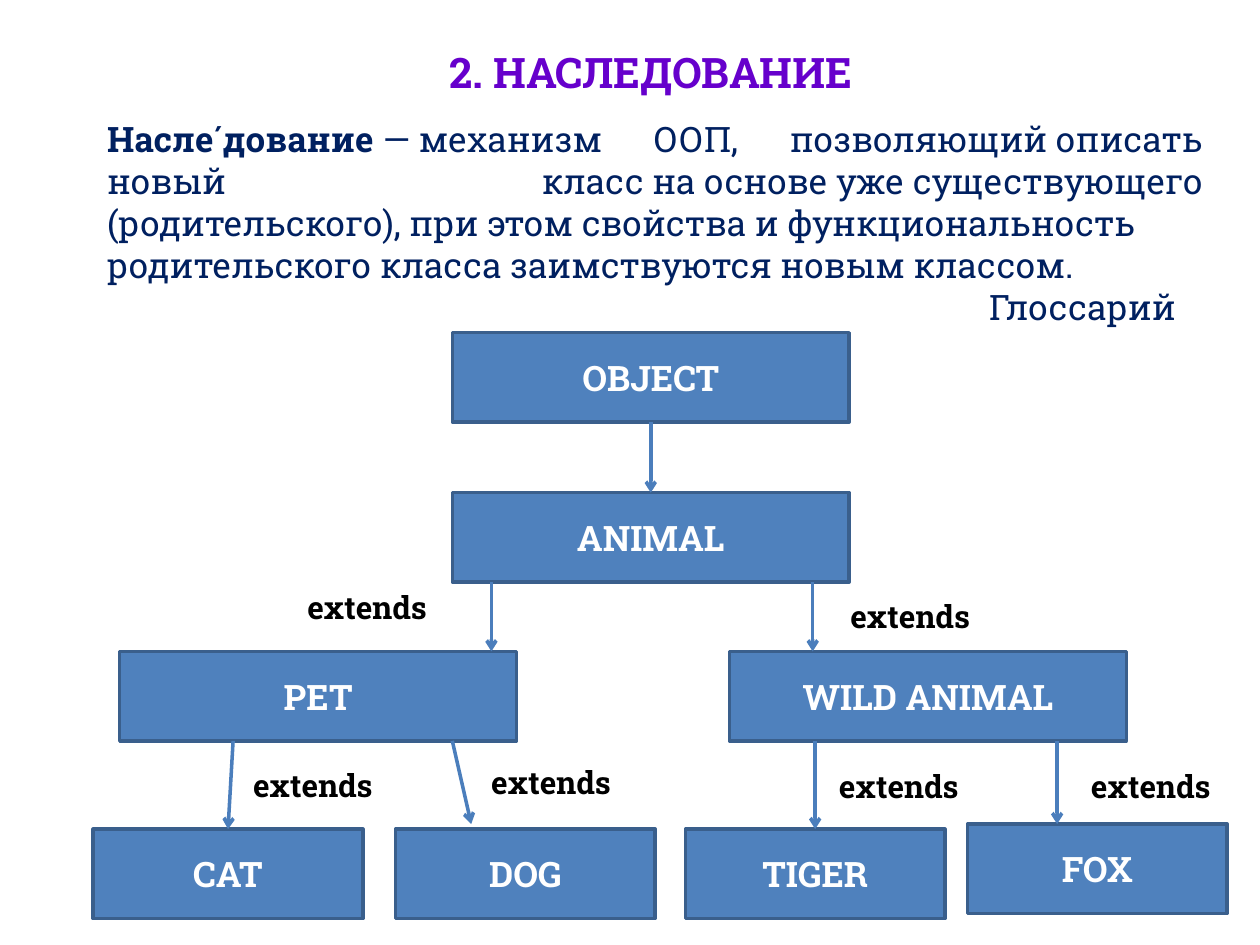
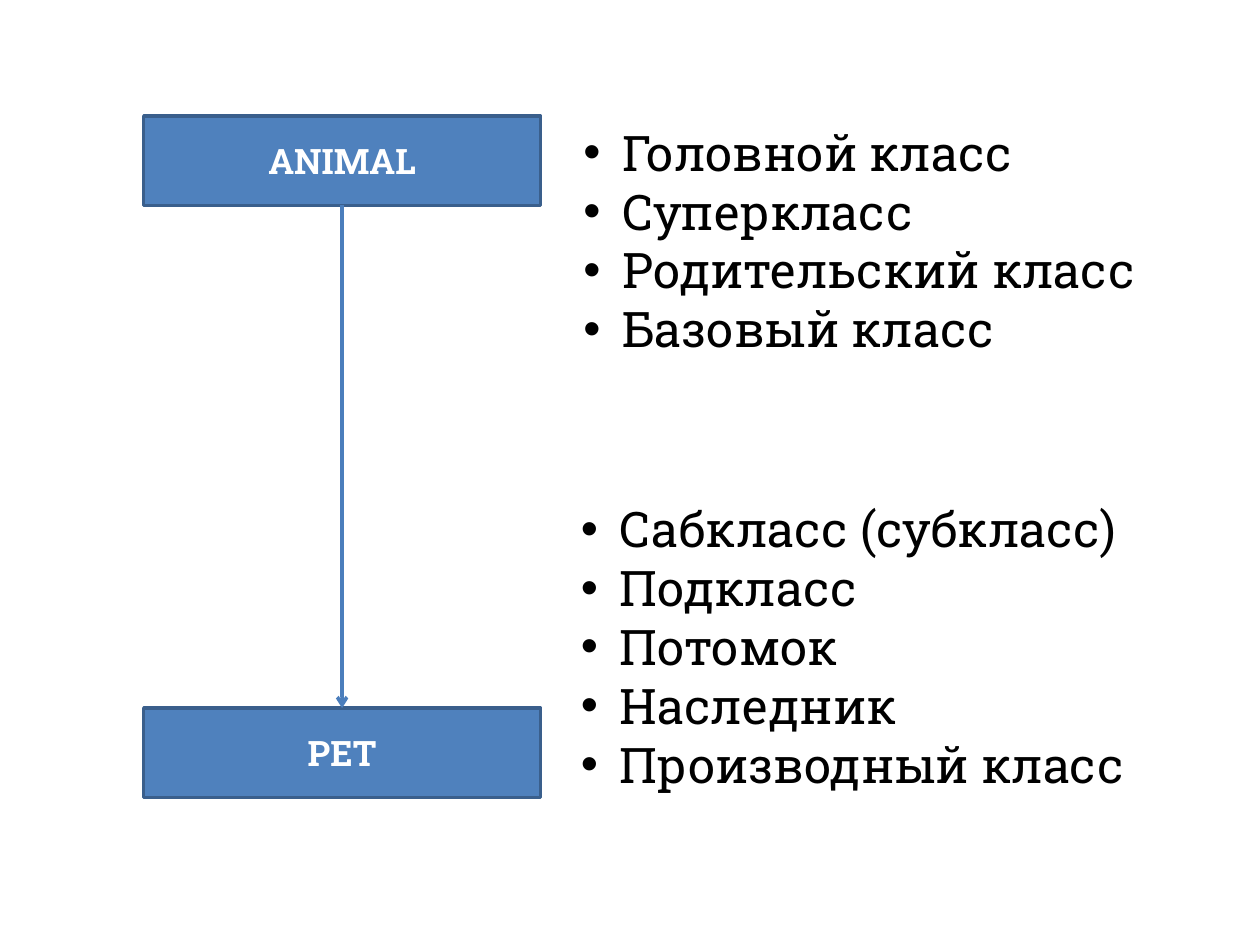
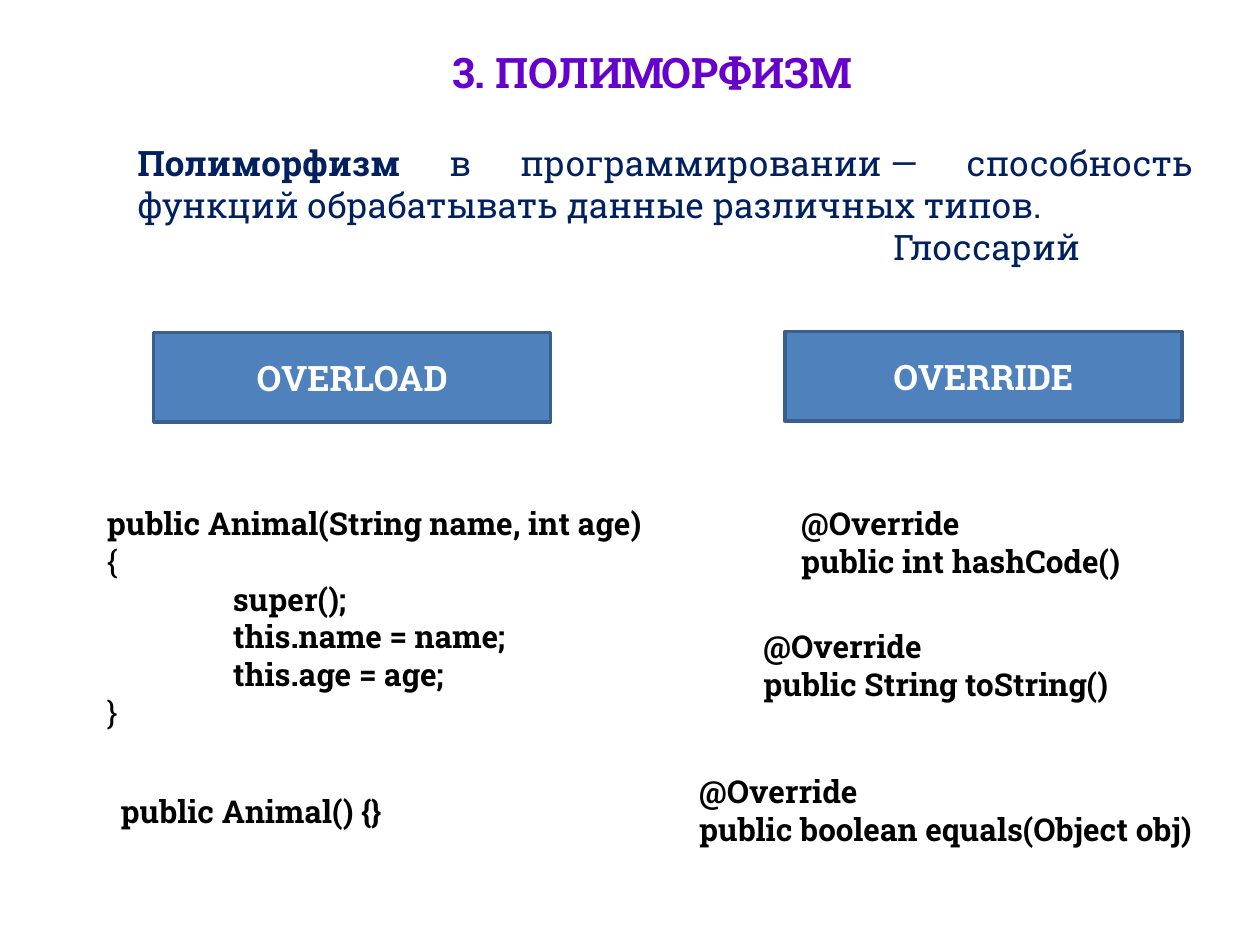
from lxml.etree import SubElement
from pptx import Presentation
from pptx.dml.color import RGBColor
from pptx.enum.shapes import MSO_CONNECTOR, MSO_SHAPE
from pptx.enum.text import MSO_ANCHOR, MSO_AUTO_SIZE, PP_ALIGN
from pptx.oxml.ns import qn
from pptx.util import Inches, Pt

FONT = "Roboto Slab"
BOX_FILL, BOX_EDGE, ARROW_COLOR = "4F81BD", "3A5F8C", "4B7EBC"
TITLE = {"color": "6600CC", "size": Pt(24), "bold": True}
DEFINITION = {"color": "002060", "size": Pt(20), "bold": False}
LABEL = {"color": "FFFFFF", "size": Pt(20), "bold": True}
CODE = {"color": "000000", "size": Pt(18), "bold": True}
TERMS = {"color": "000000", "size": Pt(28), "bold": False}
BOX_WIDTH, BOX_HEIGHT = 3.15, 0.71
SMALL_WIDTH = 2.06
TITLE_AREA = (0.95, 0.32, 8.43, 0.5)
SOURCE_NAME = "Глоссарий"


def color(hex_value):
    return RGBColor.from_string(hex_value)


def hard_spaces(text):
    return text.replace("~", chr(160))


def place(shape, area):
    for name, value in zip(("left", "top", "width", "height"), area):
        setattr(shape, name, Inches(value))


def write_lines(shape, lines, look, align=PP_ALIGN.LEFT, wrap=True):
    frame = shape.text_frame
    frame.word_wrap = wrap
    for number, line in enumerate(lines):
        para = frame.add_paragraph() if number else frame.paragraphs[0]
        para.alignment = align
        para.space_before = Pt(0)
        for text in line if isinstance(line, tuple) else (line,):
            span = para.add_run()
            span.text = text
            span.font.name = FONT
            for name, value in look.items():
                if name == "color":
                    span.font.color.rgb = color(value)
                else:
                    setattr(span.font, name, value)
    return frame.paragraphs


def indent(para, left, first=0):
    properties = para._p.get_or_add_pPr()
    properties.set("marL", str(Inches(left)))
    properties.set("indent", str(Inches(first)))
    return properties


def fill_placeholder(holder, area, lines, look, align):
    place(holder, area)
    holder.text_frame.auto_size = MSO_AUTO_SIZE.SHAPE_TO_FIT_TEXT
    return write_lines(holder, lines, look, align)


def add_title(page, text):
    fill_placeholder(page.shapes.title, TITLE_AREA, [text], TITLE, PP_ALIGN.CENTER)


def add_definition(page, area, lines, source_indent):
    paras = fill_placeholder(page.placeholders[1], area, lines + [SOURCE_NAME],
                             DEFINITION, PP_ALIGN.JUSTIFY)
    for para in paras:
        SubElement(indent(para, 0), qn("a:buNone"))
    paras[0].runs[0].font.bold = True
    indent(paras[-1], source_indent)


def add_term_list(holder, area, terms):
    for para in fill_placeholder(holder, area, terms, TERMS, PP_ALIGN.LEFT):
        properties = indent(para, 0.31, -0.31)
        SubElement(properties, qn("a:buFont")).set("typeface", "Arial")
        SubElement(properties, qn("a:buChar")).set("char", "•")


def add_class_box(page, name, left, top, width=BOX_WIDTH):
    box = page.shapes.add_shape(MSO_SHAPE.RECTANGLE, 0, 0, 0, 0)
    place(box, (left, top, width, BOX_HEIGHT))
    box.shadow.inherit = False
    box.fill.solid()
    box.fill.fore_color.rgb = color(BOX_FILL)
    box.line.color.rgb = color(BOX_EDGE)
    box.line.width = Pt(2)
    box.text_frame.vertical_anchor = MSO_ANCHOR.MIDDLE
    write_lines(box, [name], LABEL, PP_ALIGN.CENTER)
    return box


def add_arrow(page, start, end, parent=None, child=None):
    points = [Inches(value) for value in start + end]
    arrow = page.shapes.add_connector(MSO_CONNECTOR.STRAIGHT, *points)
    if parent is not None:
        arrow.begin_connect(parent, 2)
    if child is not None:
        arrow.end_connect(child, 0)
    arrow.line.color.rgb = color(ARROW_COLOR)
    arrow.line.width = Pt(2)
    SubElement(arrow.line._get_or_add_ln(), qn("a:tailEnd")).set("type", "arrow")
    SubElement(arrow._element.spPr, qn("a:effectLst"))


def add_code(page, area, lines, wrap=True):
    box = page.shapes.add_textbox(0, 0, 0, 0)
    place(box, area)
    return write_lines(box, lines, CODE, wrap=wrap)


def build_inheritance(deck):
    page = deck.slides.add_slide(deck.slide_layouts[1])
    add_title(page, "2. НАСЛЕДОВАНИЕ")
    add_definition(page, (0.75, 0.88, 8.9, 1.78), [
        ("Насле́дование", hard_spaces(
            "~—~механизм ООП, позволяющий~описать новый класс~на~основе~уже~существующего "
            "(родительского),~при~этом~свойства~и~функциональность~")),
        hard_spaces("родительского~класса~заимствуются~новым~классом."),
    ], 7)

    classes = [
        ("OBJECT", 3.59, 2.64, BOX_WIDTH), ("ANIMAL", 3.59, 3.91, BOX_WIDTH),
        ("PET", 0.95, 5.17, BOX_WIDTH), ("WILD ANIMAL", 5.79, 5.17, BOX_WIDTH),
        ("CAT", 0.74, 6.58, 2.14), ("DOG", 3.14, 6.58, SMALL_WIDTH),
        ("TIGER", 5.44, 6.58, SMALL_WIDTH), ("FOX", 7.68, 6.54, SMALL_WIDTH),
    ]
    boxes = {entry[0]: add_class_box(page, *entry) for entry in classes}

    arrows = [
        ((5.17, 3.36), (5.17, 3.91), "OBJECT", "ANIMAL"),
        ((3.9, 4.62), (3.9, 5.17), None, None),
        ((6.45, 4.62), (6.45, 5.17), None, None),
        ((1.85, 5.88), (1.81, 6.58), None, "CAT"),
        ((3.59, 5.88), (3.74, 6.54), None, None),
        ((6.47, 5.88), (6.47, 6.58), None, "TIGER"),
        ((8.39, 5.88), (8.39, 6.54), None, None),
    ]
    for start, end, parent, child in arrows:
        add_arrow(page, start, end, boxes.get(parent), boxes.get(child))

    for left, top in ((2.34, 4.62), (6.65, 4.69), (1.91, 6.03),
                      (3.8, 6.01), (6.56, 6.04), (8.56, 6.04)):
        add_code(page, (left, top, 1.42, 0.4), ["extends"])


def build_class_names(deck):
    page = deck.slides.add_slide(deck.slide_layouts[3])
    title = page.shapes.title._element
    title.getparent().remove(title)
    child = add_class_box(page, "PET", 1.14, 5.62)
    parent = add_class_box(page, "ANIMAL", 1.14, 0.92)
    add_arrow(page, (2.72, 1.62), (2.72, 5.62), parent, child)
    add_term_list(page.placeholders[1], (4.53, 0.92, 5.2, 1.99), [
        "Головной класс", "Cуперкласс", "Pодительский класс", "Базовый класс"])
    add_term_list(page.placeholders[2], (4.51, 3.91, 5.2, 2.46), [
        "Сабкласс (субкласс)", "Подкласс", "Потомок", "Наследник", "Производный класс"])


def build_polymorphism(deck):
    page = deck.slides.add_slide(deck.slide_layouts[1])
    add_title(page, "3. ПОЛИМОРФИЗМ")
    add_definition(page, (0.99, 1.07, 8.58, 1.11), [
        ("Полиморфизм", hard_spaces(
            " в программировании~— способность функций обрабатывать данные различных типов.")),
    ], 6)
    add_class_box(page, "OVERRIDE", 6.23, 2.63)
    add_class_box(page, "OVERLOAD", 1.22, 2.64)

    constructor = add_code(page, (0.75, 3.95, 5, 1.92), [
        "public Animal(String name, int age)", "{",
        "super();", "this.name = name;", "this.age = age;", "}"])
    for para in constructor[2:5]:
        indent(para, 1)
    for brace in (constructor[1], constructor[5]):
        brace.runs[0].font.bold = False
    add_code(page, (0.86, 6.24, 2.43, 0.4), ["public Animal() {}"], wrap=False)

    for left, top, width, method in (
            (5.96, 4.93, 3.8, "public String toString()"),
            (6.26, 3.95, 3.49, "public int hashCode()"),
            (5.45, 6.08, 4.71, "public boolean equals(Object obj)")):
        add_code(page, (left, top, width, BOX_HEIGHT), ["@Override", method])


def main():
    deck = Presentation()
    deck.slide_width, deck.slide_height = Inches(10), Inches(7.5)
    build_inheritance(deck)
    build_class_names(deck)
    build_polymorphism(deck)
    deck.save("out.pptx")


if __name__ == "__main__":
    main()
